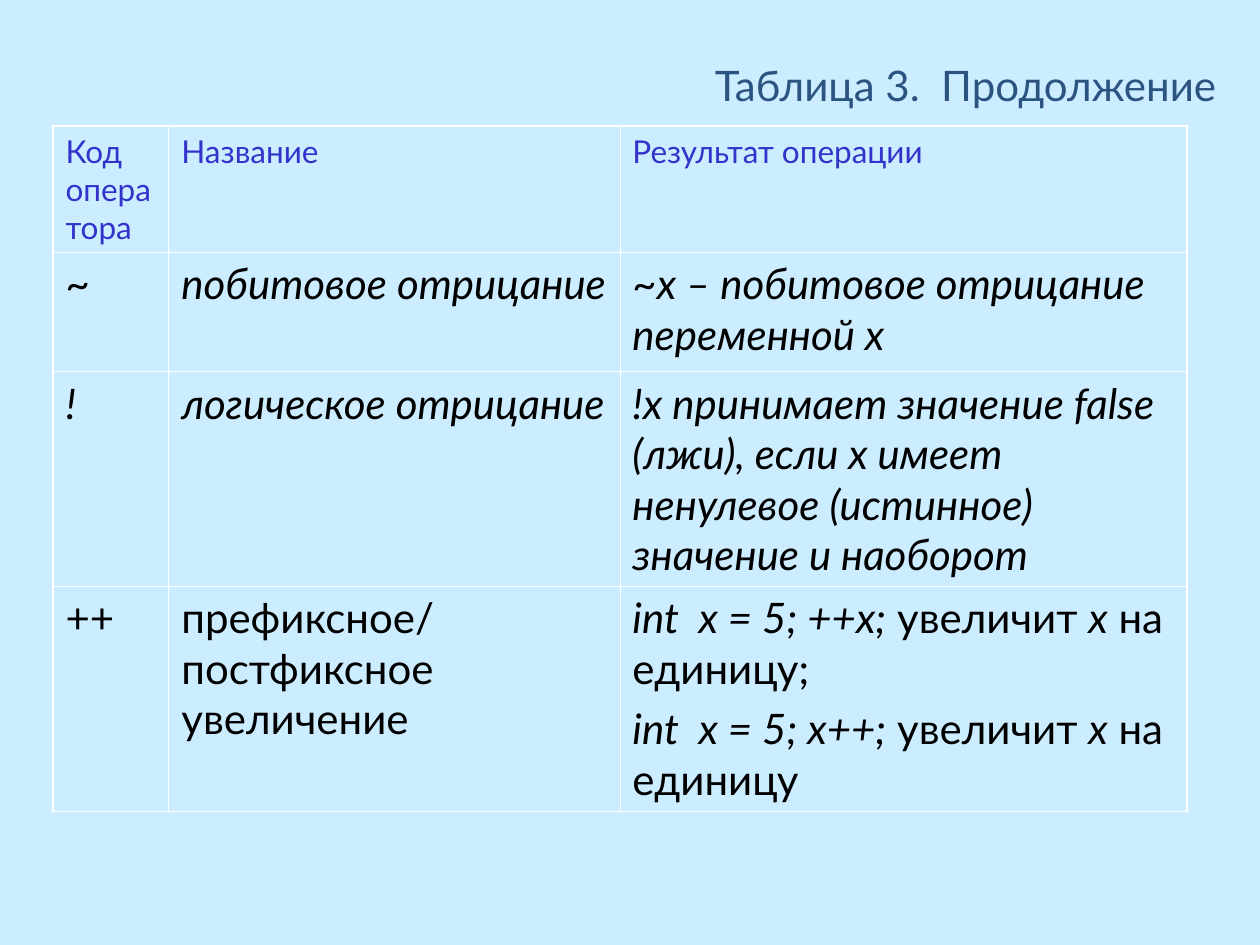
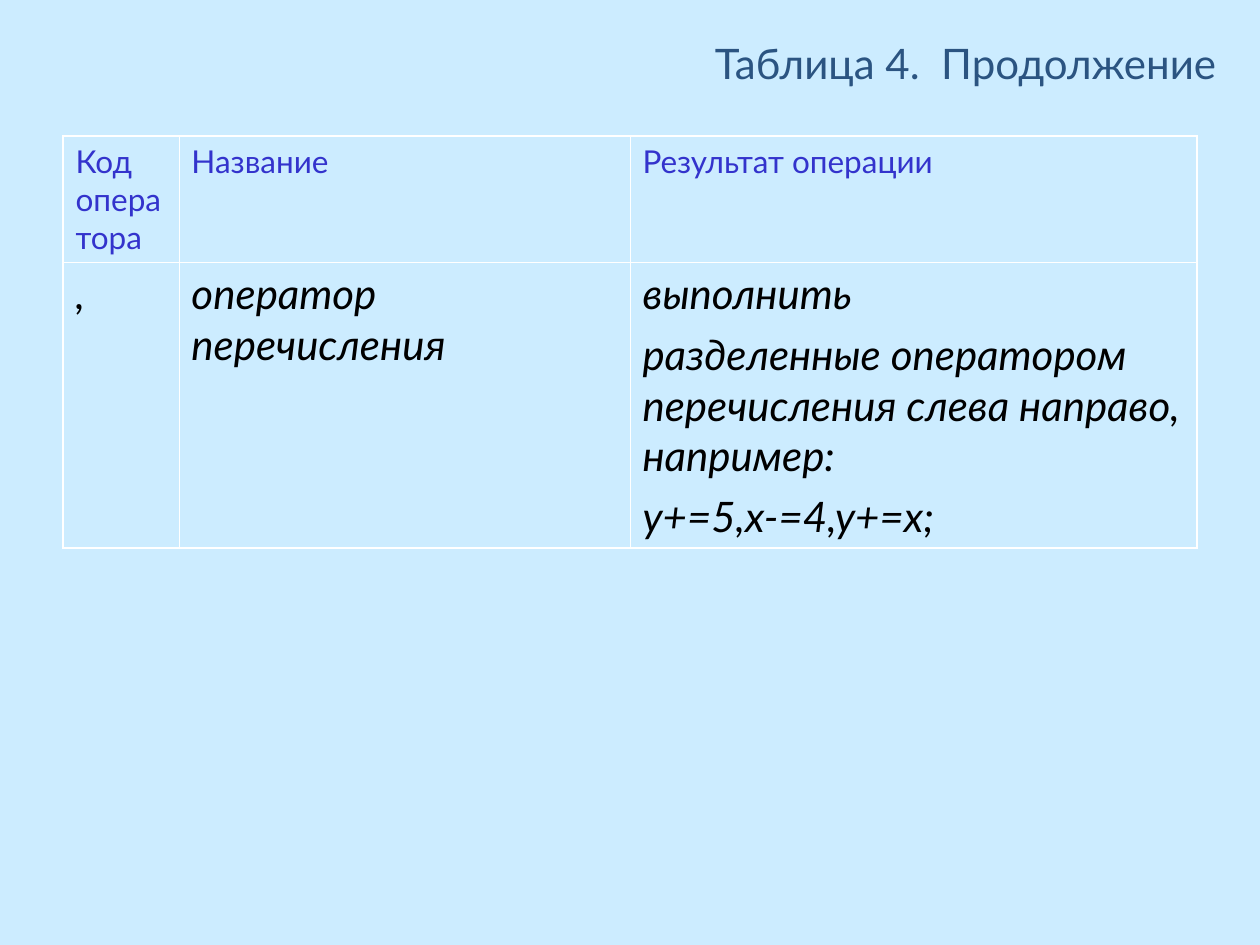
"""Build two slides that continue the tables of operators."""
import lxml.etree
import pptx
import pptx.dml.color
import pptx.enum.text
import pptx.oxml.ns
import pptx.util
from pptx.util import Inches

HEADINGS = ["Код оператора", "Название", "Результат операции"]

# Text between asterisks is italic.
SLIDES = [
    {
        "title": "Таблица 3.  Продолжение",
        "title_top": 0.42,
        "table_at": (0.42, 1),
        "row_heights": [1, 0.95, 1.7, 1.79],
        "operators": [
            ["*~*", "*побитовое отрицание*", "*~x – побитовое отрицание переменной x*"],
            ["*!*", "*логическое отрицание*",
             "*!x принимает значение false (лжи), если x имеет ненулевое (истинное) значение и наоборот*"],
            ["++", "префиксное/ постфиксное увеличение",
             "*int  x = 5; ++х;* увеличит *x* на единицу;\n"
             "*int  x = 5; х++;* увеличит *x* на единицу"],
        ],
    },
    {
        "title": "Таблица 4.  Продолжение",
        "title_top": 0.25,
        "table_at": (0.5, 1.08),
        "row_heights": [1, 2.27],
        "operators": [
            ["*,*", "*оператор перечисления*",
             "*выполнить*\n"
             "*разделенные оператором перечисления слева направо, например:*\n"
             "*y+=5,x-=4,y+=x;*"],
        ],
    },
]

THEME = {
    "background": "CCECFF",
    "border": "FFFFFF",
    "outer_border": 1.08,
    "inner_border": 0.45,
    "title": {"name": "Lato", "size": pptx.util.Pt(24), "color": "2B5481"},
    "heading": {"name": "Lato", "size": pptx.util.Pt(18), "color": "3333CC"},
    "body": {"name": "Lato", "size": pptx.util.Pt(24), "color": "000000"},
}
COLUMN_WIDTHS = [0.92, 3.58, 4.5]
TITLE_LEFT, TITLE_WIDTH, TITLE_HEIGHT = 0.17, 9.58, 0.5
PARAGRAPH_GAP = pptx.util.Pt(6)


def rgb(value):
    return pptx.dml.color.RGBColor.from_string(value)


def write_text(text_frame, text, style):
    for index, line in enumerate(text.split("\n")):
        paragraph = text_frame.add_paragraph() if index else text_frame.paragraphs[0]
        if index:
            paragraph.space_before = PARAGRAPH_GAP
        for position, part in enumerate(line.split("*")):
            if not part:
                continue
            run = paragraph.add_run()
            run.text = part
            run.font.italic = position % 2 == 1
            for name, value in style.items():
                if name == "color":
                    run.font.color.rgb = rgb(value)
                else:
                    setattr(run.font, name, value)


def set_borders(cell, outer_sides):
    properties = cell._tc.get_or_add_tcPr()
    qualified = pptx.oxml.ns.qn
    for index, side in enumerate("LRTB"):
        points = THEME["outer_border" if outer_sides[side] else "inner_border"]
        line = lxml.etree.Element(qualified(f"a:ln{side}"), w=str(int(pptx.util.Pt(points))))
        fill = lxml.etree.SubElement(line, qualified("a:solidFill"))
        lxml.etree.SubElement(fill, qualified("a:srgbClr"), val=THEME["border"])
        properties.insert(index, line)


def add_title(slide, text, top):
    box = slide.shapes.add_textbox(
        Inches(TITLE_LEFT), Inches(top), Inches(TITLE_WIDTH), Inches(TITLE_HEIGHT))
    frame_format = {
        "word_wrap": True,
        "auto_size": pptx.enum.text.MSO_AUTO_SIZE.SHAPE_TO_FIT_TEXT,
    }
    for name, value in frame_format.items():
        setattr(box.text_frame, name, value)
    write_text(box.text_frame, text, THEME["title"])
    box.text_frame.paragraphs[0].alignment = pptx.enum.text.PP_ALIGN.RIGHT


def add_operator_table(slide, content):
    rows = [HEADINGS] + content["operators"]
    heights = content["row_heights"]
    left, top = content["table_at"]
    table = slide.shapes.add_table(
        len(rows), len(COLUMN_WIDTHS), Inches(left), Inches(top),
        Inches(sum(COLUMN_WIDTHS)), Inches(sum(heights))).table
    for name, value in {"first_row": False, "horz_banding": False}.items():
        setattr(table, name, value)
    for column, width in zip(table.columns, COLUMN_WIDTHS):
        column.width = Inches(width)
    for row, height in zip(table.rows, heights):
        row.height = Inches(height)
    for row_index, texts in enumerate(rows):
        style = THEME["body" if row_index else "heading"]
        for column_index, text in enumerate(texts):
            cell = table.cell(row_index, column_index)
            cell.fill.background()
            write_text(cell.text_frame, text, style)
            set_borders(cell, {
                "L": column_index == 0,
                "R": column_index == len(texts) - 1,
                "T": row_index == 0,
                "B": row_index == len(rows) - 1,
            })


def main():
    presentation = pptx.Presentation()
    presentation.slide_width, presentation.slide_height = Inches(10), Inches(7.5)
    background = presentation.slide_master.background.fill
    background.solid()
    background.fore_color.rgb = rgb(THEME["background"])
    for content in SLIDES:
        slide = presentation.slides.add_slide(presentation.slide_layouts[6])
        add_title(slide, content["title"], content["title_top"])
        add_operator_table(slide, content)
    presentation.save("out.pptx")


if __name__ == "__main__":
    main()
